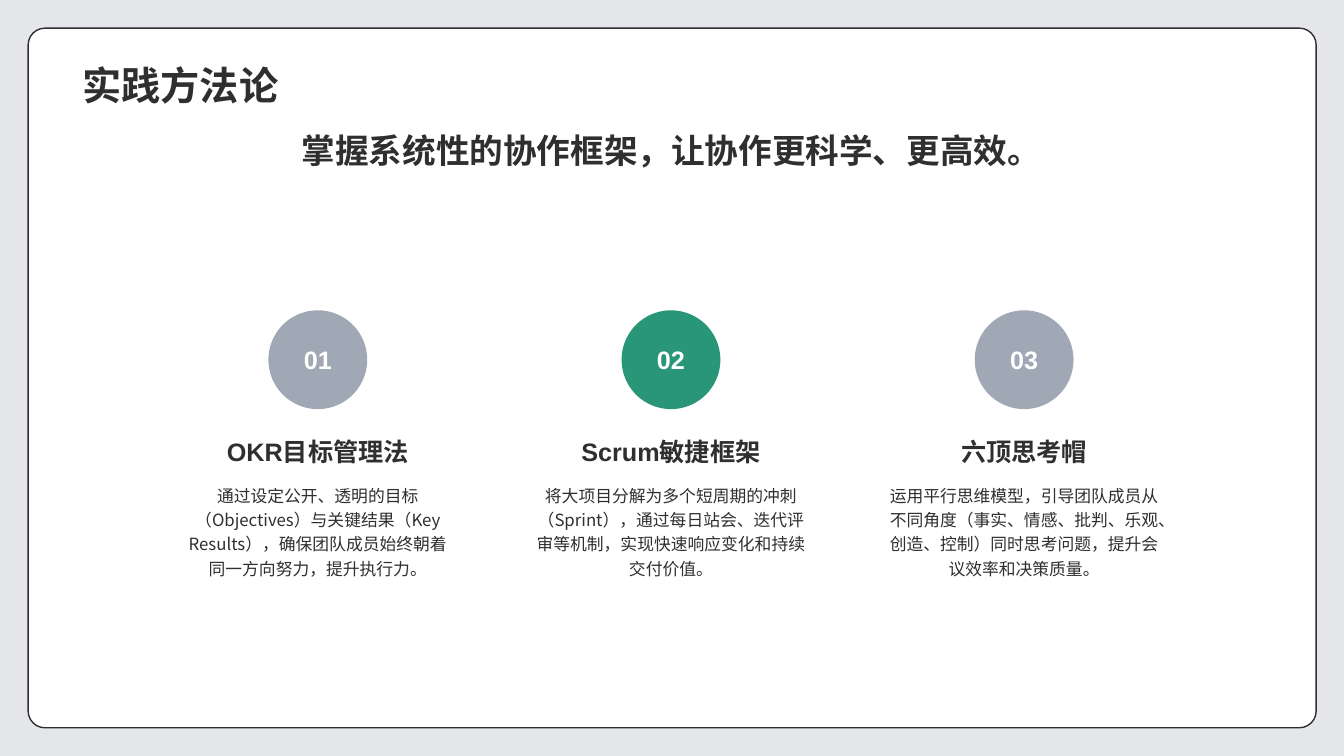
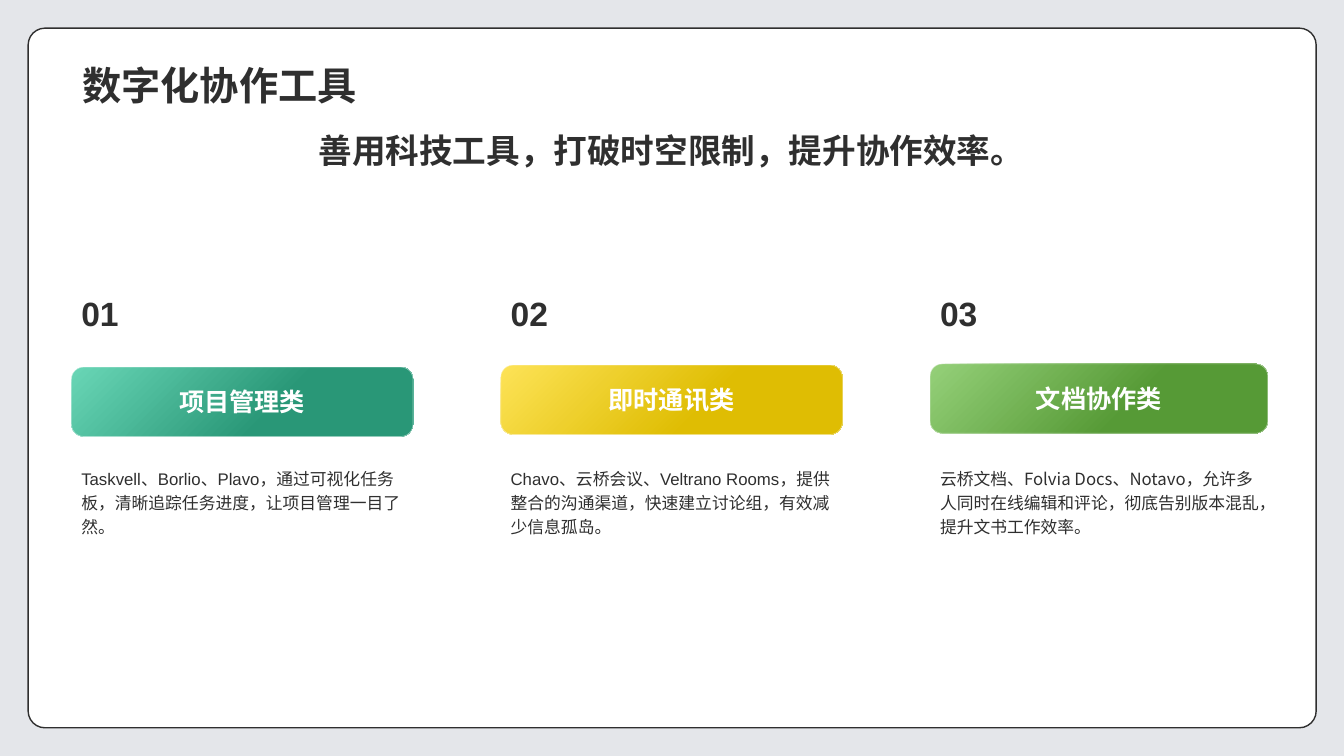
from lxml import etree
from pptx import Presentation
from pptx.dml.color import RGBColor
from pptx.enum.shapes import MSO_SHAPE
from pptx.enum.text import MSO_ANCHOR, PP_ALIGN
from pptx.oxml.ns import qn
from pptx.util import Cm, Pt

OVAL, ROUNDED = MSO_SHAPE.OVAL, MSO_SHAPE.ROUNDED_RECTANGLE
TOP, MIDDLE, BOTTOM = MSO_ANCHOR.TOP, MSO_ANCHOR.MIDDLE, MSO_ANCHOR.BOTTOM
LEFT, CENTER = PP_ALIGN.LEFT, PP_ALIGN.CENTER

LATIN, CHINESE = "Arial", "Noto Sans CJK SC"
COLORS = {
    "page": "E4E6EA", "card": "FFFFFF", "ink": "2F2F2F",
    "slate": "778495", "green": "299777", "mint": "69D6B6",
    "lemon": "FDE357", "gold": "DFBD03", "lime": "95D079", "leaf": "569A36",
}
RGB = {name: RGBColor.from_string(value) for name, value in COLORS.items()}

STYLES = {
    "title": {"size": Pt(28), "bold": True},
    "subtitle": {"size": Pt(24), "bold": True},
    "heading": {"size": Pt(18), "bold": True},
    "body": {"size": Pt(12), "bold": False},
}

METHODS = [
    ("OKR目标管理法", LATIN, "slate",
     "通过设定公开、透明的目标（Objectives）与关键结果（Key Results），确保团队成员始终朝着同一方向努力，提升执行力。"),
    ("Scrum敏捷框架", LATIN, "green",
     "将大项目分解为多个短周期的冲刺（Sprint），通过每日站会、迭代评审等机制，实现快速响应变化和持续交付价值。"),
    ("六顶思考帽", CHINESE, "slate",
     "运用平行思维模型，引导团队成员从不同角度（事实、情感、批判、乐观、创造、控制）同时思考问题，提升会议效率和决策质量。"),
]
TOOLS = [
    ("项目管理类", LATIN, ("mint", "green"), 9.25, 8.61,
     "Taskvell、Borlio、Plavo，通过可视化任务板，清晰追踪任务进度，让项目管理一目了然。"),
    ("即时通讯类", LATIN, ("lemon", "gold"), 9.2, 8.61,
     "Chavo、云桥会议、Veltrano Rooms，提供整合的沟通渠道，快速建立讨论组，有效减少信息孤岛。"),
    ("文档协作类", CHINESE, ("lime", "leaf"), 9.17, 8.51,
     "云桥文档、Folvia Docs、Notavo，允许多人同时在线编辑和评论，彻底告别版本混乱，提升文书工作效率。"),
]


def write(shape, text, style, face=CHINESE, color="ink", align=LEFT, anchor=TOP, spacing=1.0):
    frame = shape.text_frame
    frame.word_wrap = True
    frame.vertical_anchor = anchor
    paragraph = frame.paragraphs[0]
    paragraph.alignment = align
    paragraph.line_spacing = spacing
    run = paragraph.add_run()
    run.text = text
    for attribute, value in {**STYLES[style], "name": face}.items():
        setattr(run.font, attribute, value)
    run.font.color.rgb = RGB[color]
    etree.SubElement(run.font._element, qn("a:ea"), typeface=CHINESE)
    return frame


def set_alpha(shape, tag, percent):
    color = shape._element.spPr.find(f"{tag}/{qn('a:srgbClr')}")
    etree.SubElement(color, qn("a:alpha"), val=str(percent * 1000))


prs = Presentation()
prs.slide_width, prs.slide_height = Cm(33.87), Cm(19.05)
page_fill = prs.slide_master.background.fill
page_fill.solid()
page_fill.fore_color.rgb = RGB["page"]

pages = []
for title, subtitle in [
    ("实践方法论", "掌握系统性的协作框架，让协作更科学、更高效。"),
    ("数字化协作工具", "善用科技工具，打破时空限制，提升协作效率。"),
]:
    shapes = prs.slides.add_slide(prs.slide_layouts[6]).shapes
    card = shapes.add_shape(ROUNDED, Cm(0.71), Cm(0.71), Cm(32.46), Cm(17.63))
    card.adjustments[0] = 0.024
    card.shadow.inherit = False
    card.fill.solid()
    card.fill.fore_color.rgb = RGB["card"]
    card.line.color.rgb = RGB["ink"]
    card.line.width = Pt(1)
    write(shapes.add_textbox(Cm(1.83), Cm(0.36), Cm(30.18), Cm(2.49)),
          title, "title", anchor=BOTTOM)
    write(shapes.add_textbox(Cm(1.83), Cm(3.15), Cm(30.18), Cm(1.27)),
          subtitle, "subtitle", align=CENTER)
    pages.append(shapes)

methods_page, tools_page = pages

column_width, badge_size = 7.34, 2.49
for index, (name, face, color, description) in enumerate(METHODS):
    left = 4.34 + index * 8.9
    badge = methods_page.add_shape(
        OVAL, Cm(left + (column_width - badge_size) / 2), Cm(7.82), Cm(badge_size), Cm(badge_size))
    badge.shadow.inherit = False
    badge.fill.solid()
    badge.fill.fore_color.rgb = RGB[color]
    badge.line.fill.background()
    if color == "slate":
        set_alpha(badge, qn("a:solidFill"), 70)
    number = write(badge, f"{index + 1:02}", "heading", LATIN, "card", CENTER, MIDDLE)
    for side in ("left", "top", "right", "bottom"):
        setattr(number, f"margin_{side}", 0)
    write(methods_page.add_textbox(Cm(left), Cm(10.62), Cm(column_width), Cm(1.27)),
          name, "heading", face, align=CENTER, anchor=BOTTOM)
    body = write(methods_page.add_textbox(Cm(left), Cm(11.89), Cm(column_width), Cm(5.16)),
                 description, "body", align=CENTER, spacing=1.2)
    body.margin_top = body.margin_bottom = Cm(0.25)

for index, (name, face, gradient, top, width, description) in enumerate(TOOLS):
    left = Cm(1.8 + index * 10.82)
    write(tools_page.add_textbox(left, Cm(6.76), Cm(5.72), Cm(1.75)),
          f"{index + 1:02}", "subtitle", LATIN, anchor=BOTTOM)
    band = tools_page.add_shape(ROUNDED, left, Cm(top), Cm(width), Cm(1.75))
    band.adjustments[0] = 0.176
    band.shadow.inherit = False
    band.fill.gradient()
    band.fill.gradient_angle = 315
    for stop, color, position in zip(band.fill.gradient_stops, gradient, (0, 0.6)):
        stop.color.rgb = RGB[color]
        stop.position = position
    band.line.color.rgb = RGB["card"]
    band.line.width = Pt(0.5)
    set_alpha(band, f"{qn('a:ln')}/{qn('a:solidFill')}", 50)
    write(band, name, "heading", color="card", align=CENTER, anchor=MIDDLE)
    write(tools_page.add_textbox(left, Cm(11.58), Cm(8.61), Cm(5.46)),
          description, "body", face, spacing=1.2)

prs.save("out.pptx")
